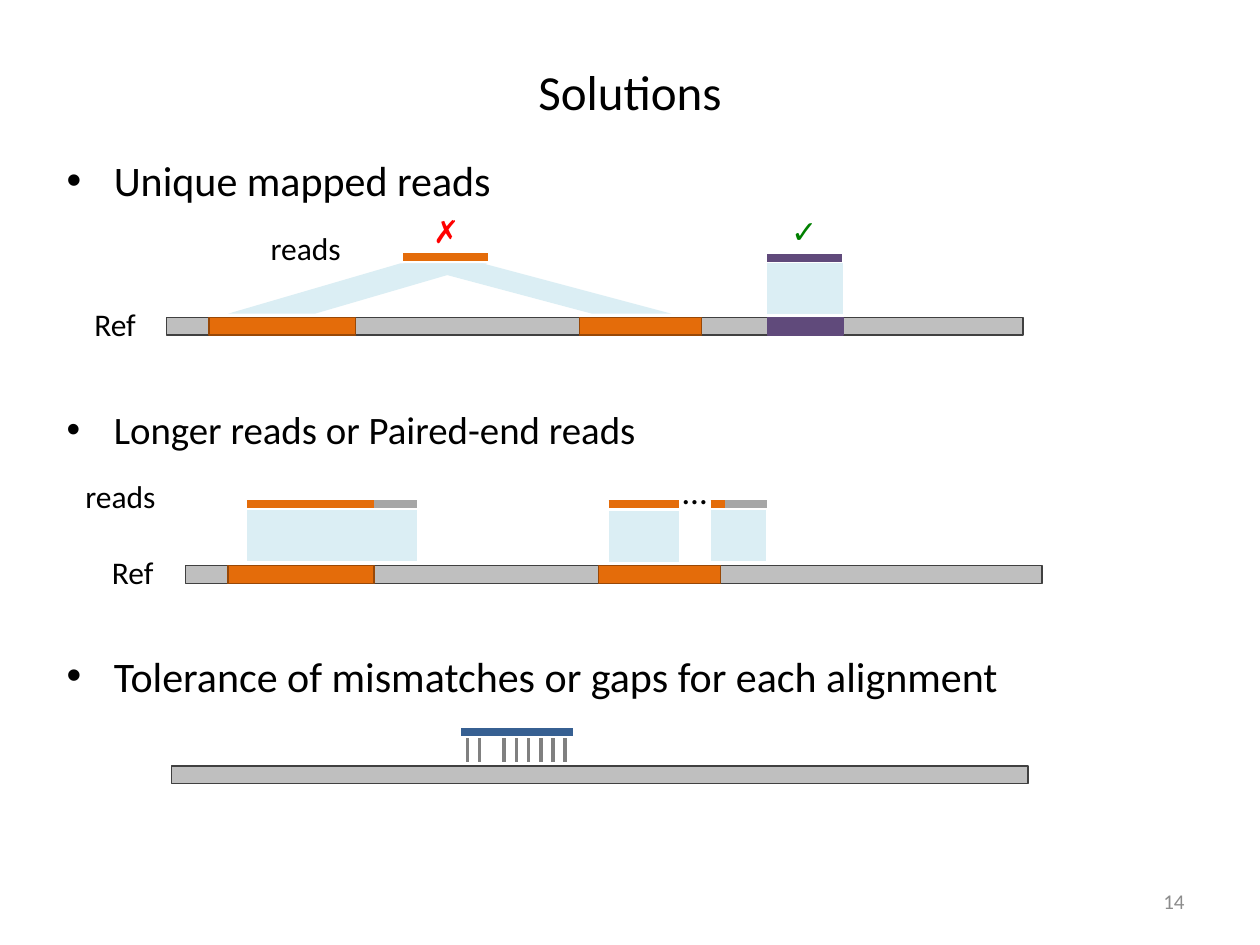
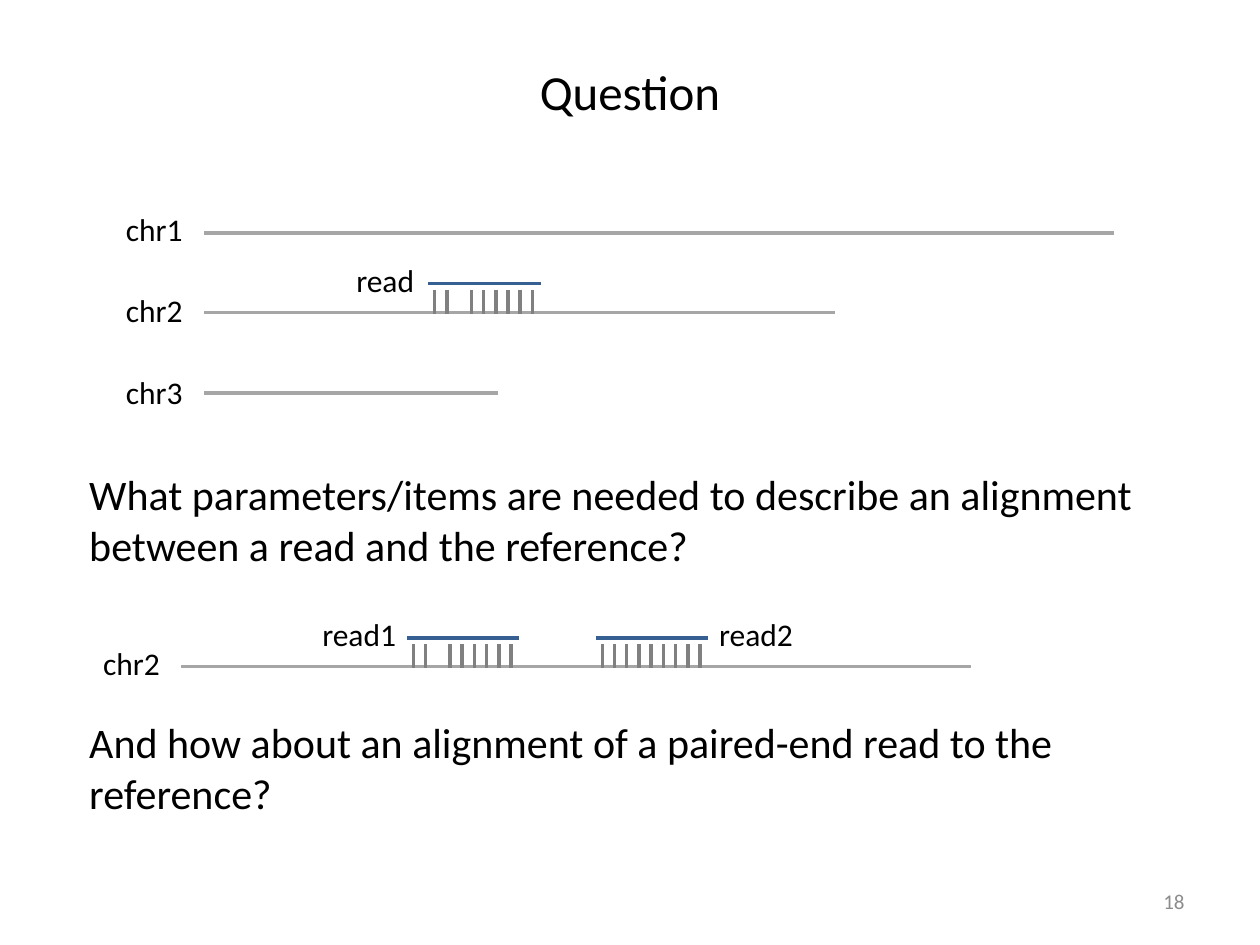
from dataclasses import dataclass
from typing import Optional

from lxml.etree import SubElement
from pptx import Presentation
from pptx.dml.color import RGBColor
from pptx.enum.shapes import MSO_CONNECTOR as Connector, MSO_SHAPE as Preset
from pptx.enum.text import MSO_ANCHOR as Anchor, MSO_AUTO_SIZE as AutoSize, PP_ALIGN as Align
from pptx.oxml.ns import qn
from pptx.slide import Slide
from pptx.util import Emu, Inches, Pt

# The slide is a grid of 100 columns by 75 rows of square cells.
COLUMNS, ROWS = 100, 75
WIDTH, HEIGHT = Inches(10), Inches(7.5)
CELL = WIDTH / COLUMNS

BLACK, NUMBER_GREY = "000000", "8C8C8C"
RED, GREEN = "FF0000", "008000"
REFERENCE, REFERENCE_EDGE = "BFBFBF", "404040"
REPEAT, REPEAT_EDGE = "E46C0A", "984807"
UNIQUE, MAPPED = "604A7B", "DBEEF4"
CHROMOSOME, TICK, READ = "A6A6A6", "808080", "376092"

BAR_HEIGHT, BAND_HEIGHT = 1.4, 4
BAR_WIDTH = 68
REPEATS = ((3.4, 11.6), (32.8, 9.7))  # offset and width on a reference bar
READ_LENGTH = 8.9
TICK_COUNT, TICK_START, TICK_STEP = 9, 0.5, 0.97
TICK_DROP, TICK_LENGTH = 0.5, 1.9
MISMATCH = 2


@dataclass(frozen=True)
class Text:
    words: str
    left: float
    top: float
    width: float
    height: float = 4
    size: float = 18
    color: str = BLACK
    font: str = "Calibri"
    align: Align = Align.LEFT
    anchor: Anchor = Anchor.TOP
    wrap: bool = False
    bullet: bool = False


@dataclass(frozen=True)
class Line:
    left: float
    right: float
    row: float
    color: str
    weight: float


@dataclass(frozen=True)
class Band:
    """Mapped region; lean is how far the top sits right of the bottom."""
    left: float
    top: float
    width: float
    lean: float = 0


@dataclass(frozen=True)
class Aligned:
    """A read whose bases are joined to the reference below it."""
    left: float
    row: float
    weight: float = 2.25
    mismatch: Optional[int] = MISMATCH


def cells(count: float) -> Emu:
    return Emu(round(count * CELL))


def rgb(color: str) -> RGBColor:
    return RGBColor.from_string(color)


def draw_text(slide: Slide, text: Text) -> None:
    box = slide.shapes.add_textbox(*map(cells, (text.left, text.top, text.width, text.height)))
    frame = box.text_frame
    frame.word_wrap = text.wrap
    frame.auto_size = AutoSize.NONE if text.wrap else AutoSize.SHAPE_TO_FIT_TEXT
    frame.vertical_anchor = text.anchor
    paragraph = frame.paragraphs[0]
    paragraph.text = text.words
    paragraph.alignment = text.align
    if text.bullet:
        add_bullet(paragraph)
    font = paragraph.font
    font.name, font.size = text.font, Pt(text.size)
    font.color.rgb = rgb(text.color)


def add_bullet(paragraph) -> None:
    properties = paragraph._p.get_or_add_pPr()
    indent = cells(3.75)
    properties.set("marL", str(indent))
    properties.set("indent", str(-indent))
    SubElement(properties, qn("a:buFont")).set("typeface", "Arial")
    SubElement(properties, qn("a:buChar")).set("char", "•")


def draw_connector(slide: Slide, start: tuple[float, float], end: tuple[float, float],
                   color: str, weight: float) -> None:
    connector = slide.shapes.add_connector(Connector.STRAIGHT, *map(cells, start + end))
    connector.line.color.rgb = rgb(color)
    connector.line.width = Pt(weight)
    SubElement(connector._element.spPr, qn("a:effectLst"))


def draw_line(slide: Slide, line: Line) -> None:
    draw_connector(slide, (line.left, line.row), (line.right, line.row), line.color, line.weight)


def draw_bar(slide: Slide, left: float, top: float, width: float, fill: str, edge: str) -> None:
    bar = slide.shapes.add_shape(Preset.RECTANGLE, *map(cells, (left, top, width, BAR_HEIGHT)))
    bar.shadow.inherit = False
    bar.fill.solid()
    bar.fill.fore_color.rgb = rgb(fill)
    bar.line.color.rgb = rgb(edge)
    bar.line.width = Pt(0.75)


def draw_reference(slide: Slide, left: float, top: float, repeats=REPEATS) -> None:
    draw_bar(slide, left, top, BAR_WIDTH, REFERENCE, REFERENCE_EDGE)
    for offset, width in repeats:
        draw_bar(slide, left + offset, top, width, REPEAT, REPEAT_EDGE)


def draw_band(slide: Slide, band: Band) -> None:
    shape = slide.shapes.add_shape(
        Preset.PARALLELOGRAM, *map(cells, (band.left, band.top, band.width, BAND_HEIGHT)))
    shape.adjustments[0] = abs(band.lean) / BAND_HEIGHT
    if band.lean < 0:
        shape._element.spPr.xfrm.set("flipH", "1")
    shape.shadow.inherit = False
    shape.fill.solid()
    shape.fill.fore_color.rgb = rgb(MAPPED)
    shape.line.fill.background()


def draw_aligned(slide: Slide, read: Aligned) -> None:
    top = read.row + TICK_DROP
    for base in range(TICK_COUNT):
        if base != read.mismatch:
            column = read.left + TICK_START + base * TICK_STEP
            draw_connector(slide, (column, top), (column, top + TICK_LENGTH), TICK, 2)
    draw_line(slide, Line(read.left, read.left + READ_LENGTH, read.row, READ, read.weight))


DRAWERS = {Text: draw_text, Line: draw_line, Band: draw_band, Aligned: draw_aligned}


def draw_all(slide: Slide, *items) -> None:
    for item in items:
        DRAWERS[type(item)](slide, item)


def new_slide(presentation, title: str, number: int) -> Slide:
    slide = presentation.slides.add_slide(presentation.slide_layouts[6])
    draw_all(
        slide,
        Text(title, 5, 3, 90, 8.5, 28, align=Align.CENTER, anchor=Anchor.MIDDLE, wrap=True),
        Text(str(number), 71.7, 69.5, 23.3, 4, 12, NUMBER_GREY,
             align=Align.RIGHT, anchor=Anchor.MIDDLE, wrap=True))
    return slide


def bullet(words: str, top: float, size: float = 24) -> Text:
    return Text(words, 4.3, top, 80, 5, size, wrap=True, bullet=True)


def build_solutions(presentation) -> None:
    slide = new_slide(presentation, "Solutions", 14)
    draw_all(
        slide,
        bullet("Unique mapped reads", 11.8),
        bullet("Longer reads or Paired-end reads", 31.7, 22.2),
        bullet("Tolerance of mismatches or gaps for each alignment", 51.1))

    draw_reference(slide, 13.2, 25.2)
    draw_bar(slide, 60.9, 25.2, 6, UNIQUE, UNIQUE)
    draw_all(
        slide,
        Line(60.9, 66.8, 20.5, UNIQUE, 4.5),
        Line(32, 38.7, 20.4, REPEAT, 4.5),
        Band(18.1, 20.9, 20.6, 13.7),
        Band(32, 20.9, 21.3, -15),
        Band(60.9, 20.9, 6),
        Text("reads", 20.5, 17.7, 7.7),
        Text("Ref", 6.5, 23.7, 5.5),
        Text("✓", 61.8, 16.3, 4, color=GREEN, font="Arial"),
        Text("✗", 33.4, 16.3, 3.7, color=RED, font="Arial"))

    draw_reference(slide, 14.7, 44.9)
    draw_all(
        slide,
        Line(19.6, 29.7, 40, REPEAT, 4.5),
        Line(29.7, 33.1, 40, CHROMOSOME, 4.5),
        Line(48.3, 53.9, 40, REPEAT, 4.5),
        Line(56.4, 57.5, 40, REPEAT, 4.5),
        Line(57.5, 60.9, 40, CHROMOSOME, 4.5),
        Band(19.6, 40.5, 13.5),
        Band(48.3, 40.6, 5.6),
        Band(56.4, 40.5, 4.4),
        Text("reads", 5.8, 37.4, 7.7),
        Text("Ref", 7.9, 43.4, 5.5),
        Text("…", 53.2, 36.8, 4, 4.4, 20))

    draw_aligned(slide, Aligned(36.6, 58.1, 4.5))
    draw_reference(slide, 13.6, 60.8, repeats=())


def build_question(presentation) -> None:
    slide = new_slide(presentation, "Question", 18)
    chromosomes = (("chr1", 16.2, 9, 88.4, 18.5), ("chr2", 22.6, 9, 66.3, 24.8),
                   ("chr3", 29.1, 9, 39.5, 31.2), ("chr2", 50.6, 7.2, 77.1, 52.9))
    for name, top, left, end, row in chromosomes:
        draw_all(slide, Text(name, left, top, 6.6), Line(left + 7.2, end, row, CHROMOSOME, 2))
    draw_all(
        slide,
        Aligned(34, 22.5),
        Text("read", 27.3, 20.2, 6.7),
        Aligned(32.3, 50.6),
        Text("read1", 24.6, 48.3, 8),
        Aligned(47.3, 50.6, mismatch=None),
        Text("read2", 56.1, 48.3, 8))
    questions = (
        ("What parameters/items are needed to describe an alignment "
         "between a read and the reference?", 36.7),
        ("And how about an alignment of a paired-end read to the reference?", 56.4))
    for words, top in questions:
        draw_text(slide, Text(words, 6.1, top, 86.9, 9.1, 24, wrap=True))


def main() -> None:
    presentation = Presentation()
    presentation.slide_width, presentation.slide_height = WIDTH, HEIGHT
    build_solutions(presentation)
    build_question(presentation)
    presentation.save("out.pptx")


if __name__ == "__main__":
    main()
